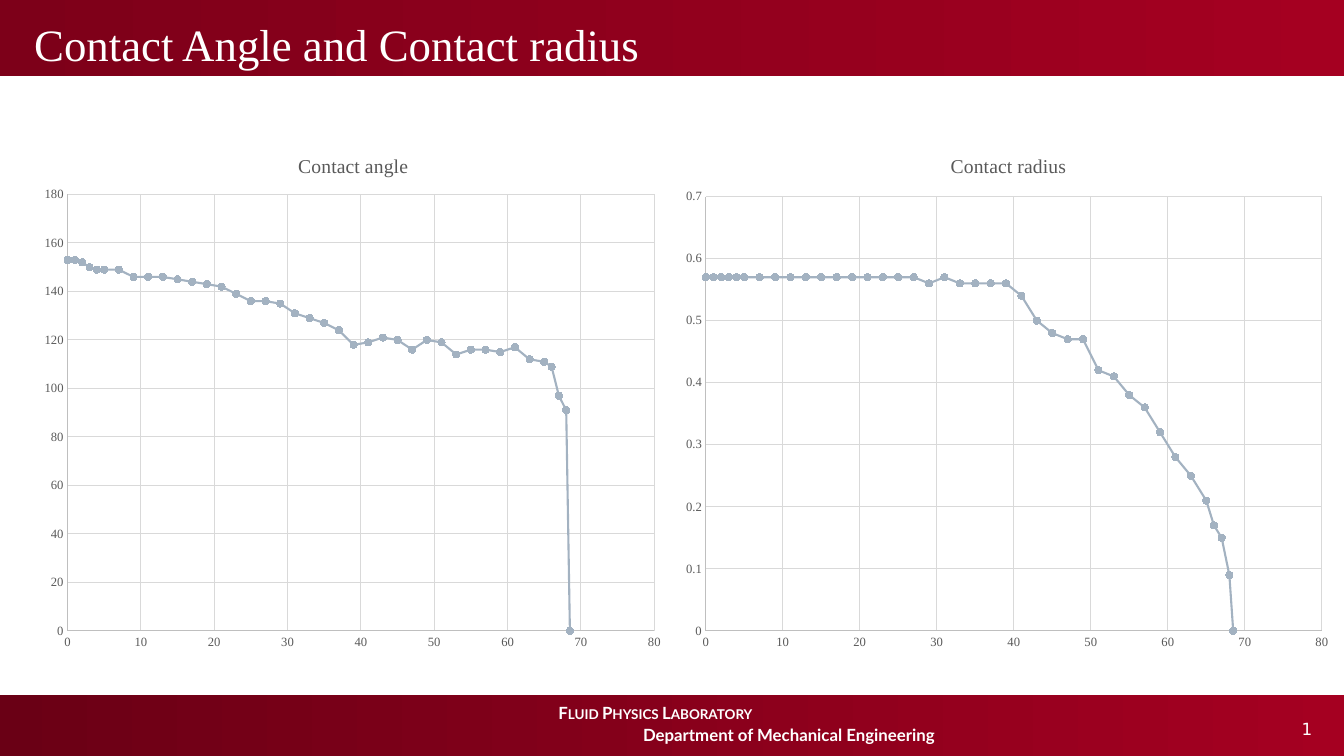
from dataclasses import dataclass

from lxml import etree
from pptx import Presentation
from pptx.chart import data as chart_data
from pptx.dml.color import RGBColor
from pptx.enum import chart as charts, shapes, text
from pptx.oxml import ns
from pptx.util import Inches, Pt


@dataclass(frozen=True)
class Theme:
    """Colours, fonts and type sizes of the slide."""
    white: RGBColor = RGBColor.from_string("FFFFFF")
    crimson: RGBColor = RGBColor.from_string("A50021")
    header_dark: RGBColor = RGBColor.from_string("7D0019")
    footer_dark: RGBColor = RGBColor.from_string("6A0015")
    series: RGBColor = RGBColor.from_string("A3B2C1")
    label: RGBColor = RGBColor.from_string("595959")
    axis: RGBColor = RGBColor.from_string("BFBFBF")
    grid: RGBColor = RGBColor.from_string("D9D9D9")
    serif: str = "Times New Roman"
    footer_font: str = "Lato"
    number_font: str = "DejaVu Sans"
    heading: Pt = Pt(32)
    footer: Pt = Pt(12)
    chart_title: Pt = Pt(14)
    tick: Pt = Pt(9)


THEME = Theme()

TIMES = [*range(5), *range(5, 66, 2), 66, 67, 68, 68.5]
ANGLES = [153, 153, 152, 150, 149, 149, 149, 146, 146, 146, 145, 144, 143, 142,
          139, 136, 136, 135, 131, 129, 127, 124, 118, 119, 121, 120, 116, 120,
          119, 114, 116, 116, 115, 117, 112, 111, 109, 97, 91, 0]
RADII = [0.57] * 17 + [0.56, 0.57] + [0.56] * 4 + [
    0.54, 0.5, 0.48, 0.47, 0.47, 0.42, 0.41, 0.38, 0.36, 0.32, 0.28, 0.25,
    0.21, 0.17, 0.15, 0.09, 0]


def style_font(font, name, size, color, bold=False):
    """Apply one typeface, size and colour."""
    font.name, font.size, font.bold = name, size, bold
    font.color.rgb = color


def add_band(slide, box, dark):
    """Add a full-width bar fading from dark to crimson."""
    band = slide.shapes.add_shape(shapes.MSO_SHAPE.RECTANGLE, *map(Inches, box))
    band.shadow.inherit = False
    band.line.fill.background()
    band.fill.gradient()
    band.fill.gradient_angle = 0
    for stop, color in zip(band.fill.gradient_stops, (dark, THEME.crimson)):
        stop.color.rgb = color
    band.text_frame.word_wrap = True
    return band


def add_header(slide, box, heading):
    """Add the title bar with its heading."""
    frame = add_band(slide, box, THEME.header_dark).text_frame
    frame.vertical_anchor = text.MSO_ANCHOR.BOTTOM
    frame.margin_left = Inches(0.36)
    line = frame.paragraphs[0]
    line.text = heading
    line.alignment = text.PP_ALIGN.LEFT
    style_font(line.font, THEME.serif, THEME.heading, THEME.white)


def add_footer(slide, box, laboratory, department, number):
    """Add the bottom bar with the affiliation and the page number."""
    frame = add_band(slide, box, THEME.footer_dark).text_frame
    frame.vertical_anchor = text.MSO_ANCHOR.TOP
    frame.margin_top = Inches(0.16)
    lines = frame.paragraphs[0], frame.add_paragraph()
    for line, wording, indent in zip(lines, (laboratory, department), (5.47, 6.31)):
        line.text = wording
        line.alignment = text.PP_ALIGN.LEFT
        line.line_spacing = Pt(8)
        line._p.get_or_add_pPr().set("marL", str(Inches(indent)))
        style_font(line.font, THEME.footer_font, THEME.footer, THEME.white, True)
    lines[0].runs[0]._r.get_or_add_rPr().set("cap", "small")
    lines[1].space_before = Pt(8)

    left, top, width, _ = box
    page = slide.shapes.add_textbox(Inches(left + width - 0.61), Inches(top + 0.18),
                                    Inches(0.5), Inches(0.3))
    page.text_frame.word_wrap = True
    page.text_frame.margin_left = Inches(0.15)
    digit = page.text_frame.paragraphs[0]
    digit.text = number
    style_font(digit.font, THEME.number_font, THEME.footer, THEME.white)


def set_layout(parent, index, **fractions):
    """Pin a chart part at fractions of the chart's size."""
    old = parent.find(ns.qn("c:layout"))
    if old is not None:
        parent.remove(old)
    layout = etree.Element(ns.qn("c:layout"))
    manual = etree.SubElement(layout, ns.qn("c:manualLayout"))
    settings = {"xMode": "edge", "yMode": "edge", **fractions}
    if "w" in fractions:
        settings = {"layoutTarget": "inner", **settings}
    for tag, value in settings.items():
        etree.SubElement(manual, ns.qn(f"c:{tag}")).set("val", str(value))
    parent.insert(index, layout)


def style_axis(axis, maximum, step):
    """Set the scale, grid and labels of one axis."""
    axis.minimum_scale, axis.maximum_scale, axis.major_unit = 0, maximum, step
    axis.has_major_gridlines = True
    axis.major_tick_mark = axis.minor_tick_mark = charts.XL_TICK_MARK.NONE
    for line, color in ((axis.format.line, THEME.axis),
                        (axis.major_gridlines.format.line, THEME.grid)):
        line.color.rgb = color
        line.width = Pt(0.75)
    axis.tick_labels.number_format = "General"
    axis.tick_labels.number_format_is_linked = False
    style_font(axis.tick_labels.font, THEME.serif, THEME.tick, THEME.label)


def add_scatter(slide, box, plot_box, title, values, maximum, step):
    """Add a titled scatter chart whose plot fills plot_box."""
    table = chart_data.XyChartData()
    measured = table.add_series("Series 1")
    for time, value in zip(TIMES, values):
        measured.add_data_point(time, value)
    chart = slide.shapes.add_chart(charts.XL_CHART_TYPE.XY_SCATTER_LINES,
                                   *map(Inches, box), table).chart
    chart.has_legend = False
    chart.font.name, chart.font.size = THEME.serif, Pt(10)

    chart.has_title = True
    caption = chart.chart_title.text_frame.paragraphs[0]
    caption.text = title
    style_font(caption.font, THEME.serif, THEME.chart_title, THEME.label)
    left, top, width, height = box
    x, y, w, h = plot_box
    set_layout(chart.chart_title._element, 1, x=0.41, y=0.04)
    set_layout(chart._chartSpace.chart.plotArea, 0,
               x=(x - left) / width, y=(y - top) / height, w=w / width, h=h / height)

    style_axis(chart.category_axis, 80, 10)
    style_axis(chart.value_axis, maximum, step)
    chart.plots[0].vary_by_categories = False
    curve = chart.plots[0].series[0]
    curve.smooth = False
    curve.format.line.color.rgb = THEME.series
    curve.format.line.width = Pt(1.5)
    curve.marker.style = charts.XL_MARKER_STYLE.CIRCLE
    curve.marker.size = 5
    curve.marker.format.fill.solid()
    curve.marker.format.fill.fore_color.rgb = THEME.series
    curve.marker.format.line.color.rgb = THEME.series


def main():
    """Build the slide and save it."""
    deck = Presentation()
    deck.slide_width, deck.slide_height = Inches(13.33), Inches(7.5)
    slide = deck.slides.add_slide(deck.slide_layouts[6])
    add_footer(slide, (-0.03, 6.9, 13.4, 0.6), "Fluid Physics Laboratory",
               "Department of Mechanical Engineering", "1")
    add_header(slide, (-0.02, 0, 13.4, 0.75), "Contact Angle and Contact radius")
    add_scatter(slide, (0.31, 1.28, 6.37, 5.27), (0.67, 1.93, 5.82, 4.33),
                "Contact angle", ANGLES, 180, 20)
    add_scatter(slide, (6.67, 1.28, 6.64, 5.27), (7, 1.95, 6.11, 4.31),
                "Contact radius", RADII, 0.7, 0.1)
    deck.save("out.pptx")


if __name__ == "__main__":
    main()
